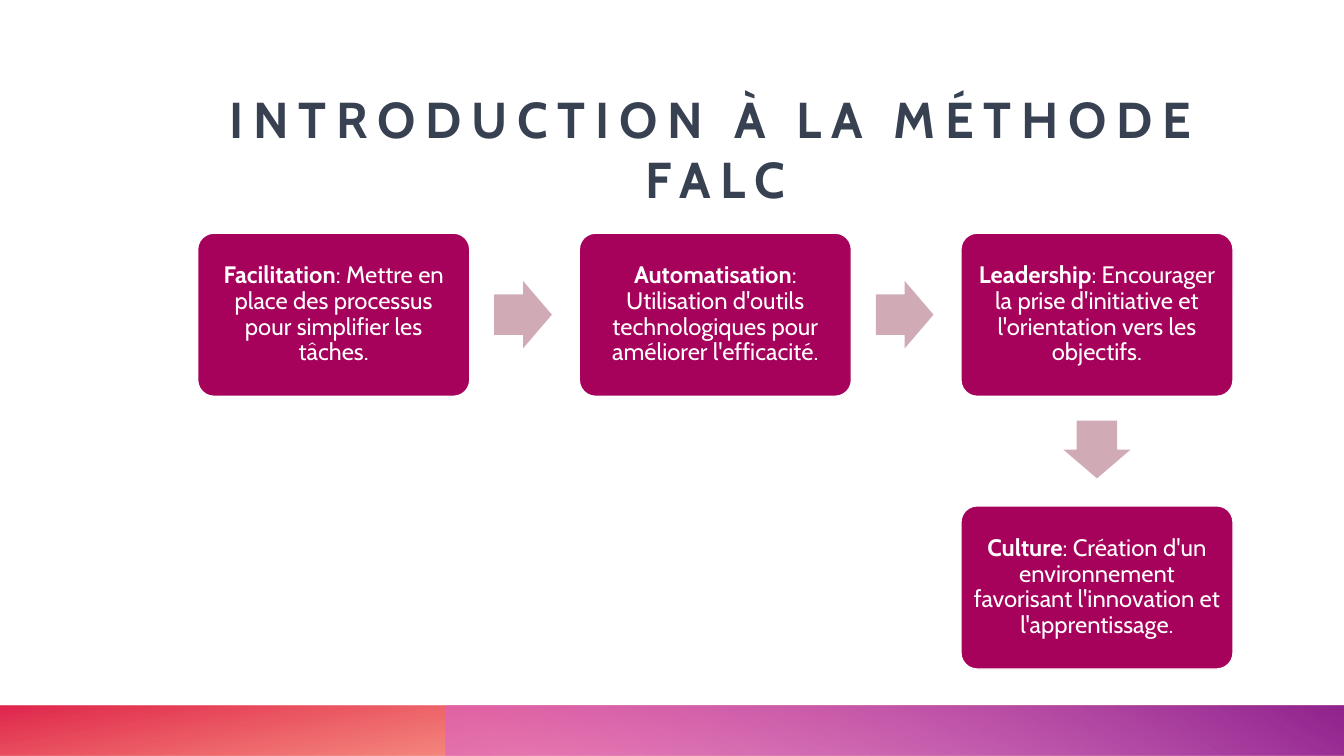
import pptx
import pptx.util
import pptx.dml.color
import pptx.enum.shapes
import pptx.enum.text
import pptx.oxml
import pptx.oxml.ns
from dataclasses import dataclass

Pt = pptx.util.Pt
Shape = pptx.enum.shapes.MSO_SHAPE
Align = pptx.enum.text.PP_ALIGN
Anchor = pptx.enum.text.MSO_ANCHOR


@dataclass(frozen=True)
class Theme:
    font: str = "Cabin"
    title_size: float = 36
    step_size: float = 17
    title_spacing: float = 7
    title: str = "374151"
    step: str = "A6025C"
    arrow: str = "D0ABB6"
    white: str = "FFFFFF"
    # Stops: position %, colour, opacity %
    warm: tuple = ((14, "FE4A00", 28), (100, "DA002F", 85))
    violet: tuple = ((9, "D861D4", 55), (99, "92248E", 100))


def rgb(value):
    return pptx.dml.color.RGBColor.from_string(value)


class SlideBuilder:
    def __init__(self, slide, theme):
        self.slide = slide
        self.theme = theme

    def apply(self, target, values):
        for name, value in values.items():
            setattr(target, name, value)

    def shape(self, kind, left, top, width, height, adjustments=()):
        item = self.slide.shapes.add_shape(
            kind, Pt(left), Pt(top), Pt(width), Pt(height))
        item.shadow.inherit = False
        item.line.fill.background()
        for index, value in enumerate(adjustments):
            item.adjustments[index] = value
        return item

    def frame(self, item, inset, anchor):
        values = {f"margin_{side}": Pt(inset)
                  for side in ("left", "top", "right", "bottom")}
        self.apply(item.text_frame, values | {
            "word_wrap": True, "vertical_anchor": anchor})
        paragraph = item.text_frame.paragraphs[0]
        paragraph.alignment = Align.CENTER
        return paragraph

    def run(self, paragraph, text, size, color, bold):
        piece = paragraph.add_run()
        piece.text = text
        self.apply(piece.font, {
            "name": self.theme.font, "size": Pt(size), "bold": bold})
        piece.font.color.rgb = rgb(color)
        return piece

    def band(self, left, top, width, height, stops, angle):
        band = self.shape(Shape.RECTANGLE, left, top, width, height)
        band.fill.gradient()
        band.fill.gradient_angle = angle
        for stop, (position, color, _) in zip(band.fill.gradient_stops, stops):
            stop.position = position / 100
            stop.color.rgb = rgb(color)
        # Opacity of each stop
        colors = band._element.spPr.xpath(".//a:gs/a:srgbClr")
        for element, (_, _, opacity) in zip(colors, stops):
            alpha = pptx.oxml.parse_xml(
                f'<a:alpha {pptx.oxml.ns.nsdecls("a")} val="{opacity * 1000}"/>')
            element.append(alpha)

    def title(self, text, left, top, width, height):
        box = self.slide.shapes.add_textbox(
            Pt(left), Pt(top), Pt(width), Pt(height))
        paragraph = self.frame(box, 0, Anchor.TOP)
        heading = self.run(paragraph, text, self.theme.title_size,
                           self.theme.title, True)
        heading.font._element.set("spc", str(self.theme.title_spacing * 100))

    def step(self, name, description, left, top, width, height):
        card = self.shape(Shape.ROUNDED_RECTANGLE, left, top, width, height, (0.1,))
        card.fill.solid()
        card.fill.fore_color.rgb = rgb(self.theme.step)
        card.line.color.rgb = rgb(self.theme.white)
        card.line.width = Pt(1)
        paragraph = self.frame(card, 5, Anchor.MIDDLE)
        paragraph.line_spacing = 0.9
        for text, bold in ((name, True), (f": {description}", False)):
            self.run(paragraph, text, self.theme.step_size, self.theme.white, bold)

    def arrow(self, kind, left, top, width, height):
        arrow = self.shape(kind, left, top, width, height, (0.6, 0.5))
        arrow.fill.solid()
        arrow.fill.fore_color.rgb = rgb(self.theme.arrow)


STEPS = (
    ("Facilitation", "Mettre en place des processus pour simplifier les tâches.", 0, 0),
    ("Automatisation",
     "Utilisation d'outils technologiques pour améliorer l'efficacité.", 1, 0),
    ("Leadership",
     "Encourager la prise d'initiative et l'orientation vers les objectifs.", 2, 0),
    ("Culture",
     "Création d'un environnement favorisant l'innovation et l'apprentissage.", 2, 1),
)
SLIDE_W, SLIDE_H = 960, 540
GRID_LEFT, GRID_TOP = 141.2, 166.5
COLUMN_PITCH, ROW_PITCH = 272.6, 194.8
STEP_W, STEP_H = 194.4, 116.6
ARROW_LENGTH, ARROW_BREADTH = 41.2, 48.2
ARROW_GAP = 17.4


def main():
    deck = pptx.Presentation()
    deck.slide_width, deck.slide_height = Pt(SLIDE_W), Pt(SLIDE_H)
    theme = Theme()
    builder = SlideBuilder(deck.slides.add_slide(deck.slide_layouts[6]), theme)

    # Footer bands
    builder.band(0, 504, SLIDE_W, 36, theme.warm, 100)
    builder.band(318, 504, SLIDE_W - 318, 36, theme.violet, 60)

    # Title
    builder.title("INTRODUCTION À LA MÉTHODE FALC", 108, 62.6, 806.4, 97.2)

    # Steps, each followed by an arrow towards the next one
    for index, (name, description, column, row) in enumerate(STEPS):
        left = GRID_LEFT + column * COLUMN_PITCH
        top = GRID_TOP + row * ROW_PITCH
        builder.step(name, description, left, top, STEP_W, STEP_H)
        if index + 1 == len(STEPS):
            continue
        if STEPS[index + 1][3] == row:
            builder.arrow(Shape.RIGHT_ARROW, left + STEP_W + ARROW_GAP,
                          top + (STEP_H - ARROW_BREADTH) / 2,
                          ARROW_LENGTH, ARROW_BREADTH)
        else:
            builder.arrow(Shape.DOWN_ARROW, left + (STEP_W - ARROW_BREADTH) / 2,
                          top + STEP_H + ARROW_GAP,
                          ARROW_BREADTH, ARROW_LENGTH)

    deck.save("out.pptx")


if __name__ == "__main__":
    main()
